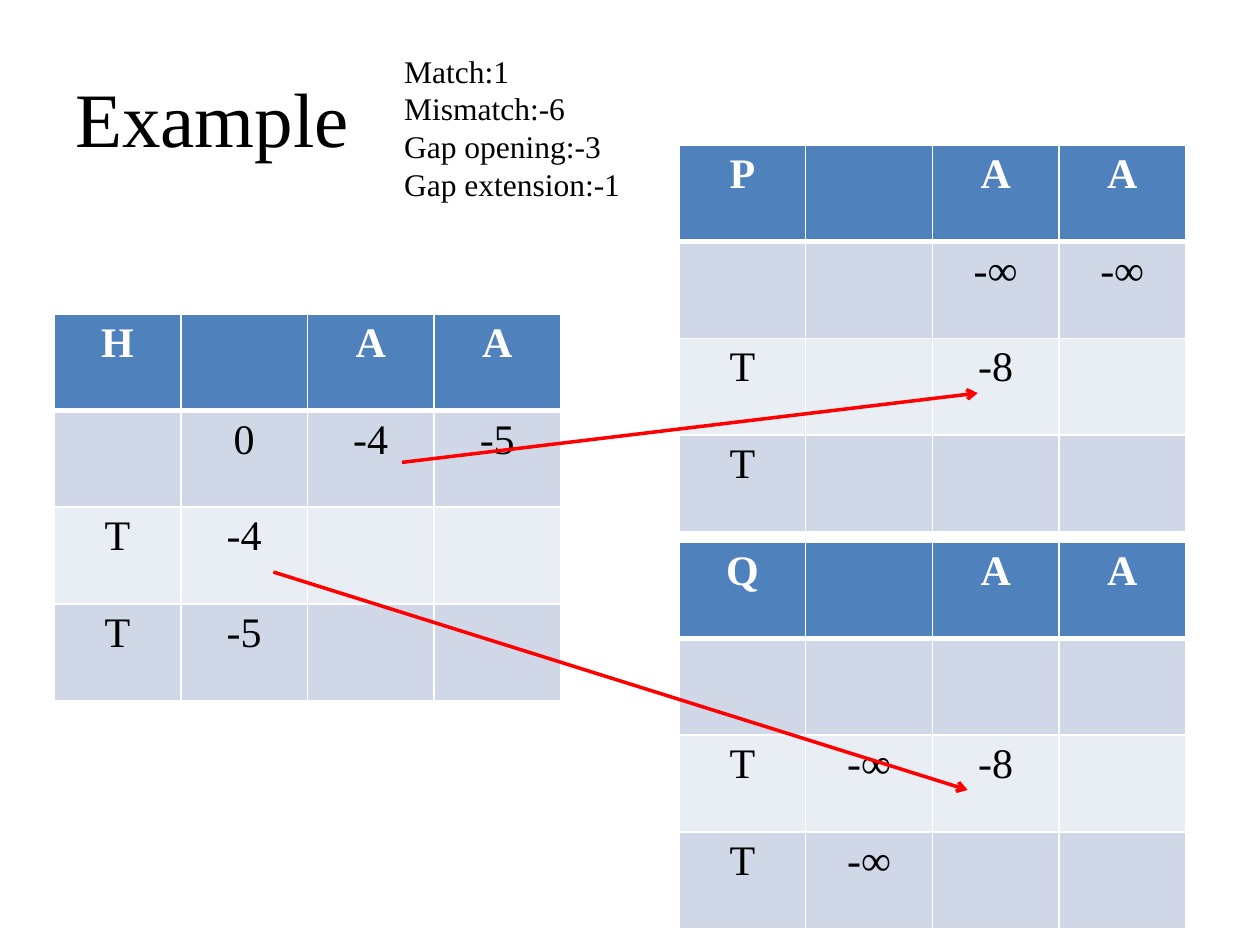
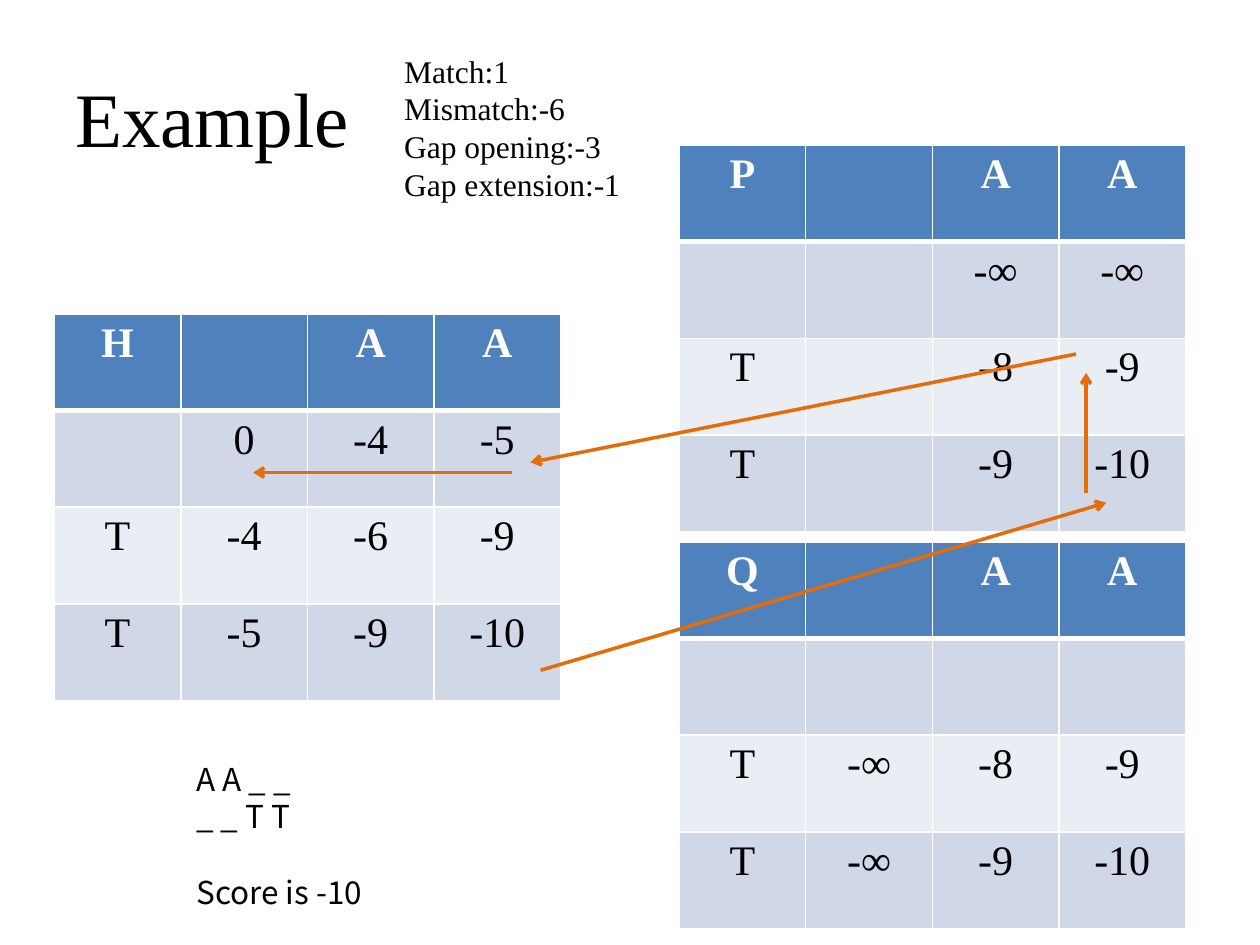
"""Builds two slides of the affine-gap alignment example with its score tables."""
from pptx import Presentation
from pptx.dml.color import RGBColor
from pptx.enum.shapes import MSO_CONNECTOR as Connector
from pptx.enum.text import MSO_ANCHOR as Anchor, PP_ALIGN as Align
from pptx.oxml.ns import qn
from pptx.util import Inches, Pt
from lxml.etree import SubElement

BLACK = RGBColor(0x00, 0x00, 0x00)
WHITE = RGBColor(0xFF, 0xFF, 0xFF)
HEADER_BLUE = RGBColor(0x4F, 0x81, 0xBD)
BAND_DARK = RGBColor(0xD0, 0xD8, 0xE8)
BAND_LIGHT = RGBColor(0xE9, 0xED, 0xF4)
RED = RGBColor(0xFF, 0x00, 0x00)
ORANGE = RGBColor(0xE4, 0x6C, 0x0A)

SERIF = "Times New Roman"
SANS = "Noto Sans CJK SC"
SCORING = ["Match:1", "Mismatch:-6", "Gap opening:-3", "Gap extension:-1"]
ROW_LABELS = ["", "T", "T"]
TABLE_PLACES = {"H": (0.43, 2.49), "P": (5.39, 1.15), "Q": (5.39, 4.3)}

FIRST_STEP = {
    "H": [["0", "-4", "-5"], ["-4", "", ""], ["-5", "", ""]],
    "P": [["", "-∞", "-∞"], ["", "-8", ""], ["", "", ""]],
    "Q": [["", "", ""], ["-∞", "-8", ""], ["-∞", "", ""]],
}
FILLED = {
    "H": [["0", "-4", "-5"], ["-4", "-6", "-9"], ["-5", "-9", "-10"]],
    "P": [["", "-∞", "-∞"], ["", "-8", "-9"], ["", "-9", "-10"]],
    "Q": [["", "", ""], ["-∞", "-8", "-9"], ["-∞", "-9", "-10"]],
}
FILL_ARROWS = [((3.19, 3.67), (7.76, 3.12)), ((2.17, 4.54), (7.68, 6.27))]
TRACEBACK_ARROWS = [
    ((4.29, 5.32), (8.78, 3.99)),
    ((8.62, 3.91), (8.62, 2.96)),
    ((8.54, 2.81), (4.21, 3.67)),
    ((4.06, 3.75), (2.01, 3.75)),
]


class ExampleDeck:
    """Holds the deck, its style and the current page."""

    def __init__(self):
        self.deck = Presentation()
        self.deck.slide_width = Inches(10)
        self.deck.slide_height = Inches(7.5)
        self.page = None

    def add_page(self, scores, arrows, arrow_color):
        self.page = self.deck.slides.add_slide(self.deck.slide_layouts[6])
        self.add_title("Example")
        self.add_lines(SCORING, 3.11, 0.36, 1.93, SERIF)
        for name, values in scores.items():
            self.add_score_table(name, values)
        for start, end in arrows:
            self.add_arrow(start, end, arrow_color)

    def add_span(self, para, text, size, font=SERIF, color=BLACK, bold=False):
        span = para.add_run()
        span.text = text
        span.font.name = font
        span.font.size = Pt(size)
        span.font.bold = bold
        span.font.color.rgb = color

    def add_box(self, left, top, width, height):
        return self.page.shapes.add_textbox(
            Inches(left), Inches(top), Inches(width), Inches(height)).text_frame

    def add_title(self, text):
        frame = self.add_box(0.5, 0.3, 9, 1.25)
        frame.word_wrap = True
        frame.vertical_anchor = Anchor.MIDDLE
        self.add_span(frame.paragraphs[0], text, 44)

    def add_lines(self, lines, left, top, width, font):
        frame = self.add_box(left, top, width, 1.31)
        frame.word_wrap = False
        for index, text in enumerate(lines):
            para = frame.add_paragraph() if index else frame.paragraphs[0]
            para.line_spacing = Pt(21.6)
            self.add_span(para, text, 18, font)
        return frame

    def add_score_table(self, name, values):
        left, top = TABLE_PLACES[name]
        rows = [[name, "", "A", "A"]]
        rows += [[label] + row for label, row in zip(ROW_LABELS, values)]
        table = self.page.shapes.add_table(
            4, 4, Inches(left), Inches(top), Inches(4.02), Inches(3.07)).table
        for row, texts in enumerate(rows):
            for column, text in enumerate(texts):
                self.style_cell(table.cell(row, column), row, text)

    def style_cell(self, cell, row, text):
        header = row == 0
        widths = {"L": 1, "R": 1, "T": 3 if row == 1 else 1, "B": 3 if header else 1}
        properties = cell._tc.get_or_add_tcPr()
        for side, width in widths.items():
            border = SubElement(properties, qn(f"a:ln{side}"), w=str(Pt(width)))
            fill = SubElement(border, qn("a:solidFill"))
            SubElement(fill, qn("a:srgbClr"), val=str(WHITE))
        cell.fill.solid()
        band = BAND_DARK if row % 2 else BAND_LIGHT
        cell.fill.fore_color.rgb = HEADER_BLUE if header else band
        para = cell.text_frame.paragraphs[0]
        para.alignment = Align.CENTER
        if text:
            self.add_span(para, text, 24, color=WHITE if header else BLACK, bold=header)

    def add_arrow(self, start, end, color):
        points = [Inches(length) for length in start + end]
        arrow = self.page.shapes.add_connector(Connector.STRAIGHT, *points)
        arrow.line.color.rgb = color
        arrow.line.width = Pt(2)
        SubElement(arrow.line._get_or_add_ln(), qn("a:tailEnd"), type="arrow")
        SubElement(arrow._element.spPr, qn("a:effectLst"))

    def add_alignment(self):
        lines = ["A A _ _", "_ _ T T", "Score is -10"]
        frame = self.add_lines(lines, 1.46, 5.98, 1.72, SANS)
        frame.paragraphs[-1].space_before = Pt(21.6)


def main():
    example = ExampleDeck()
    example.add_page(FIRST_STEP, FILL_ARROWS, RED)
    example.add_page(FILLED, TRACEBACK_ARROWS, ORANGE)
    example.add_alignment()
    example.deck.save("out.pptx")


if __name__ == "__main__":
    main()
